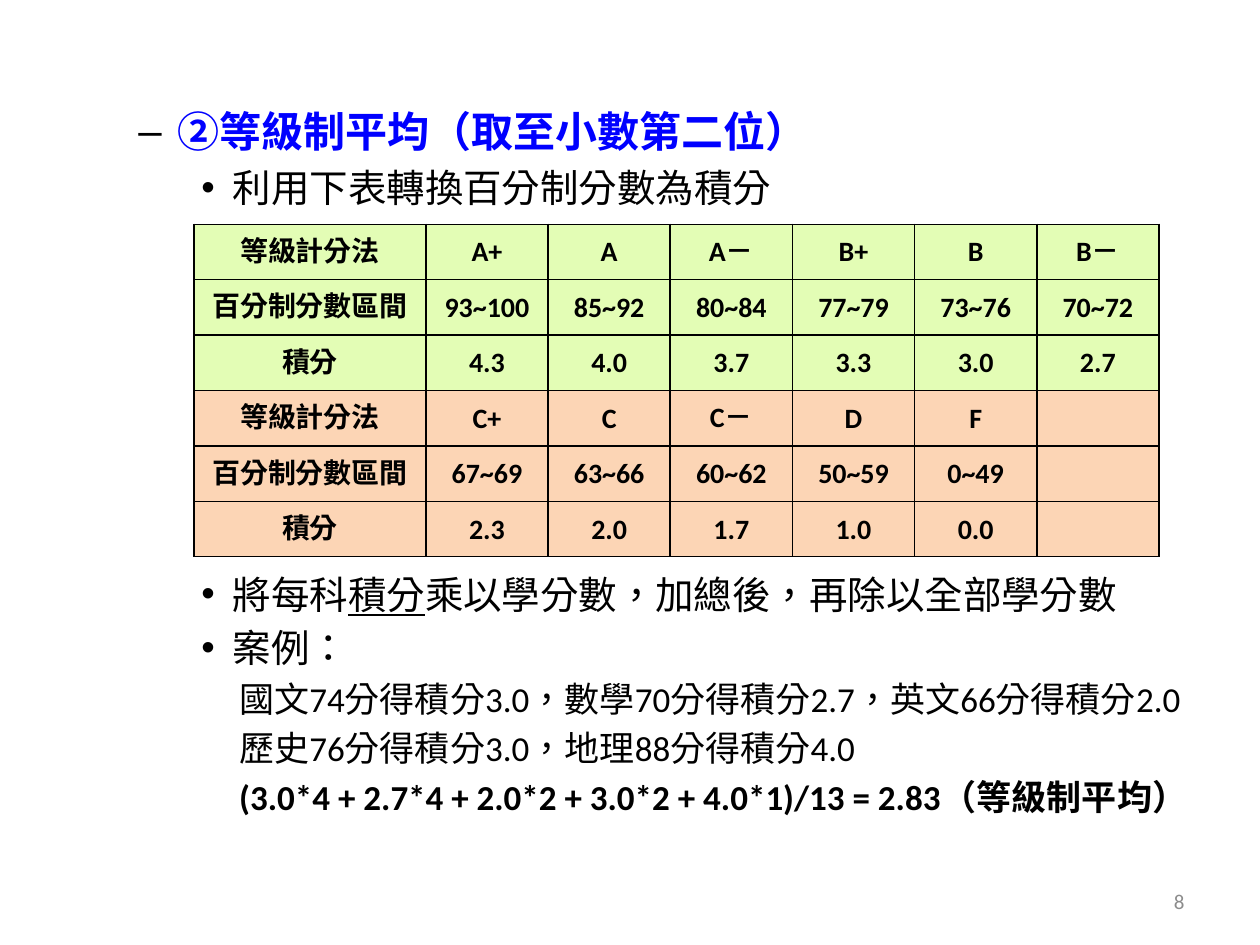
from dataclasses import dataclass

from lxml.etree import SubElement
from pptx import Presentation
from pptx.dml.color import RGBColor
from pptx.enum.lang import MSO_LANGUAGE_ID
from pptx.enum.text import MSO_ANCHOR, PP_ALIGN
from pptx.oxml import parse_xml
from pptx.oxml.ns import nsdecls, qn
from pptx.util import Inches, Pt


@dataclass(frozen=True)
class Theme:
    font: str = "Calibri"
    black: str = "000000"
    blue: str = "0000FF"
    gray: str = "8C8C8C"
    green: str = "E3FDB5"
    orange: str = "FCD5B5"
    heading: int = 24
    body: int = 22
    example: int = 20
    cell: int = 16
    number: int = 12


class SlideBuilder:
    def __init__(self, slide, theme):
        self.slide = slide
        self.theme = theme

    def format_runs(self, paragraph, size, color, bold=False):
        for run in paragraph.runs:
            run.font.name = self.theme.font
            run.font.size = Pt(size)
            run.font.bold = bold
            run.font.color.rgb = RGBColor.from_string(color)
            run.font.language_id = MSO_LANGUAGE_ID.TRADITIONAL_CHINESE

    def text_box(self, left, top, width, height):
        shape = self.slide.shapes.add_textbox(
            Inches(left), Inches(top), Inches(width), Inches(height))
        shape.text_frame.word_wrap = True
        return shape.text_frame

    def outline(self, frame, items):
        for index, item in enumerate(items):
            paragraph = frame.add_paragraph() if index else frame.paragraphs[0]
            self.outline_item(paragraph, **item)

    def outline_item(self, paragraph, parts, size, margin, indent, bullet=None,
                     color=None, bold=False, underlined=None, space=None):
        for part in parts:
            run = paragraph.add_run()
            run.text = part
            run.font.underline = True if part == underlined else None
        self.format_runs(paragraph, size, color or self.theme.black, bold)
        paragraph.space_before = Pt(space or size * 0.2)
        properties = paragraph._p.get_or_add_pPr()
        properties.set("marL", str(Inches(margin)))
        properties.set("indent", str(Inches(indent)))
        if bullet:
            bullet_color = SubElement(properties, qn("a:buClr"))
            SubElement(bullet_color, qn("a:srgbClr")).set("val", self.theme.black)
            SubElement(properties, qn("a:buFont")).set("typeface", "Arial")
            SubElement(properties, qn("a:buChar")).set("char", bullet)

    def page_number(self, number):
        frame = self.text_box(7.17, 6.95, 2.33, 0.4)
        frame.vertical_anchor = MSO_ANCHOR.MIDDLE
        paragraph = frame.paragraphs[0]
        paragraph.text = number
        paragraph.alignment = PP_ALIGN.RIGHT
        self.format_runs(paragraph, self.theme.number, self.theme.gray)

    def table(self, left, top, widths, row_height, rows, fills):
        table = self.slide.shapes.add_table(
            len(rows), len(widths), Inches(left), Inches(top),
            Inches(sum(widths)), Inches(row_height * len(rows))).table
        table.first_row = table.horz_banding = False
        for column, width in zip(table.columns, widths):
            column.width = Inches(width)
        for table_row, values, fill in zip(table.rows, rows, fills):
            table_row.height = Inches(row_height)
            for cell, value in zip(table_row.cells, values):
                self.cell(cell, value, fill)

    def cell(self, cell, value, fill):
        cell.fill.solid()
        cell.fill.fore_color.rgb = RGBColor.from_string(fill)
        cell.vertical_anchor = MSO_ANCHOR.MIDDLE
        cell.margin_left = cell.margin_right = Inches(0.07)
        cell.margin_top = cell.margin_bottom = 0
        paragraph = cell.text_frame.paragraphs[0]
        paragraph.text = value
        paragraph.alignment = PP_ALIGN.CENTER
        paragraph.line_spacing = Pt(20)
        self.format_runs(paragraph, self.theme.cell, self.theme.black, True)
        properties = cell._tc.get_or_add_tcPr()
        for position, side in enumerate("LRTB"):
            properties.insert(position, parse_xml(
                f'<a:ln{side} {nsdecls("a")} w="{Pt(1)}"><a:solidFill>'
                f'<a:srgbClr val="{self.theme.black}"/></a:solidFill></a:ln{side}>'))


theme = Theme()
presentation = Presentation()
presentation.slide_width = Inches(10)
presentation.slide_height = Inches(7.5)
slide = presentation.slides.add_slide(presentation.slide_layouts[6])
builder = SlideBuilder(slide, theme)

point = dict(size=theme.body, margin=1.25, indent=-0.25, bullet="•")
example = dict(size=theme.example, margin=0.99, indent=0.31)
builder.outline(builder.text_box(0.5, 0.79, 9.22, 6.19), [
    dict(parts=["②等級制平均（取至小數第二位）"], size=theme.heading, margin=0.81,
         indent=-0.31, bullet="–", color=theme.blue, bold=True),
    dict(point, parts=["利用下表轉換百分制分數為積分"]),
    dict(point, parts=["將每科", "積分", "乘以學分數，加總後，再除以全部學分數"],
         underlined="積分", space=206),
    dict(point, parts=["案例："]),
    dict(example, parts=["國文74分得積分3.0，數學70分得積分2.7，英文66分得積分2.0"]),
    dict(example, parts=["歷史76分得積分3.0，地理88分得積分4.0"]),
    dict(example, bold=True, parts=[
        "(3.0*4 + 2.7*4 + 2.0*2 + 3.0*2 + 4.0*1)/13 = 2.83（等級制平均）"]),
])
builder.page_number("8")

labels = ["等級計分法", "百分制分數區間", "積分"]
grades = [
    ["A+", "A", "A－", "B+", "B", "B－"],
    ["93~100", "85~92", "80~84", "77~79", "73~76", "70~72"],
    ["4.3", "4.0", "3.7", "3.3", "3.0", "2.7"],
    ["C+", "C", "C－", "D", "F", ""],
    ["67~69", "63~66", "60~62", "50~59", "0~49", ""],
    ["2.3", "2.0", "1.7", "1.0", "0.0", ""],
]
builder.table(
    1.54, 1.78, [1.84] + [0.97] * 6, 0.44,
    [[label] + values for label, values in zip(labels * 2, grades)],
    [theme.green] * 3 + [theme.orange] * 3)

presentation.save("out.pptx")
